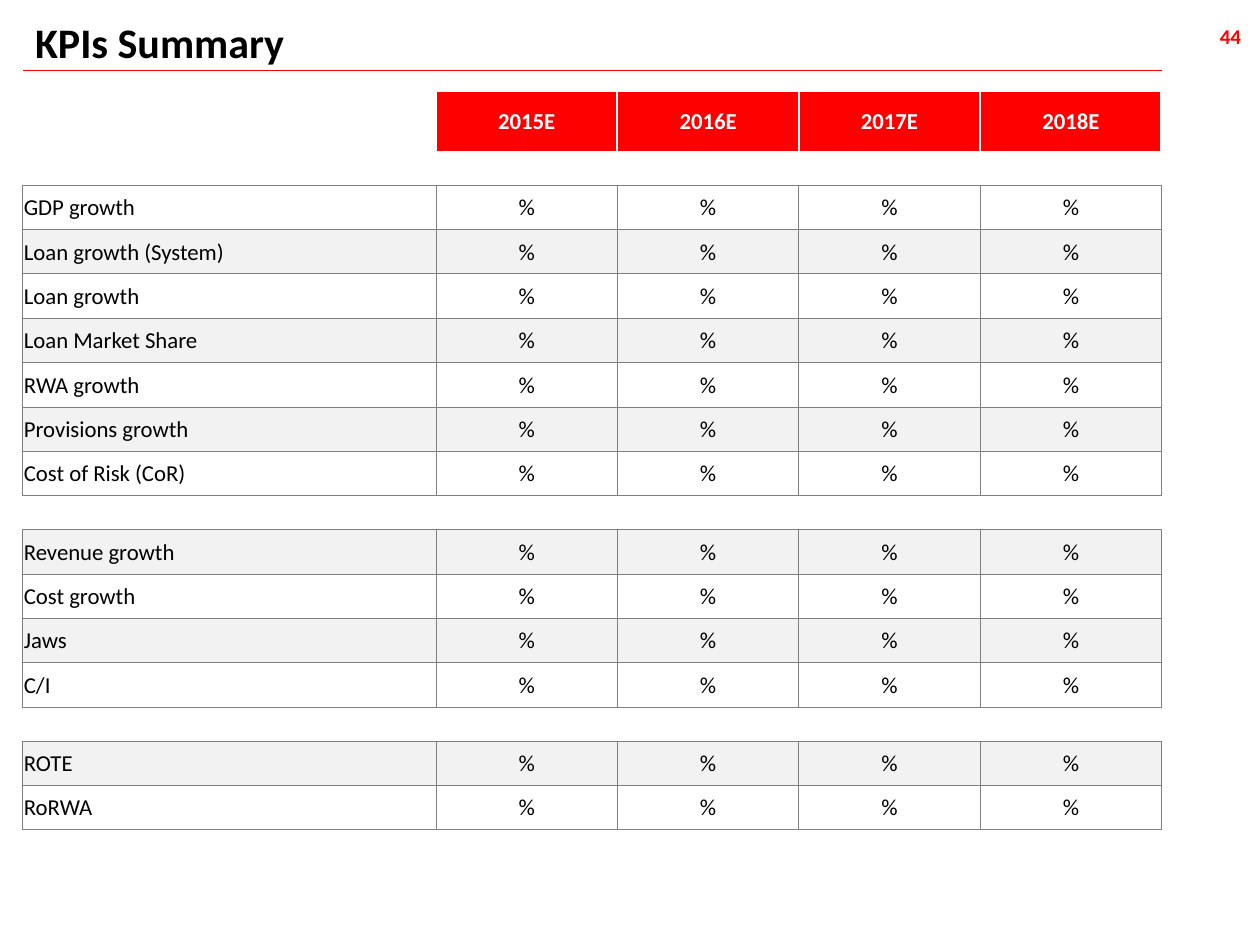
from lxml.etree import SubElement
from pptx import Presentation
from pptx.dml.color import RGBColor
from pptx.enum.shapes import MSO_CONNECTOR
from pptx.enum.text import MSO_ANCHOR, MSO_AUTO_SIZE, PP_ALIGN
from pptx.oxml.ns import qn
from pptx.util import Inches, Pt

FONT = "Calibri"
RED, WHITE, BLACK, GRAY, BAND = "FF0000", "FFFFFF", "000000", "808080", "F2F2F2"
NO_STYLE = "{2D5ABB26-0587-4C30-8999-92F81FD0307C}"

LEFT, WIDTH = 0.18, 9.04
TABLE_TOP, TABLE_HEIGHT = 0.72, 5.87
YEAR_WIDTH, HEADER_HEIGHT, GAP_HEIGHT = 1.44, 0.48, 0.27
TEXT_SIZE = 13

YEARS = ["2015E", "2016E", "2017E", "2018E"]
GROUPS = [
    ["GDP growth", "Loan growth (System)", "Loan growth", "Loan Market Share",
     "RWA growth", "Provisions growth", "Cost of Risk (CoR)"],
    ["Revenue growth", "Cost growth", "Jaws", "C/I"],
    ["ROTE", "RoRWA"],
]


def rgb(color):
    return RGBColor.from_string(color)


def add_run(p, text, size, color, bold=False):
    r = p.add_run()
    r.text = text
    r.font.name = FONT
    r.font.size = Pt(size)
    r.font.bold = bold
    r.font.color.rgb = rgb(color)


def add_text(s, box, text, size, color, align=PP_ALIGN.LEFT, wrap=True, inset=0.1):
    sp = s.shapes.add_textbox(*(Inches(v) for v in box))
    tf = sp.text_frame
    tf.word_wrap = wrap
    tf.auto_size = MSO_AUTO_SIZE.SHAPE_TO_FIT_TEXT
    tf.margin_left = tf.margin_right = Inches(inset)
    p = tf.paragraphs[0]
    p.alignment = align
    add_run(p, text, size, color, bold=True)


def add_rule(s, y):
    line = s.shapes.add_connector(MSO_CONNECTOR.STRAIGHT, Inches(LEFT), Inches(y),
                                  Inches(LEFT + WIDTH), Inches(y))
    line.line.color.rgb = rgb(RED)
    line.line.width = Pt(0.75)
    SubElement(line._element.spPr, qn("a:effectLst"))


def set_borders(cell, sides, color, width):
    """Draw the given sides, a string in the order L, R, T, B."""
    tcPr = cell._tc.get_or_add_tcPr()
    for side in sides:
        ln = SubElement(tcPr, qn("a:ln" + side), w=str(Pt(width)))
        fill = SubElement(ln, qn("a:solidFill"))
        SubElement(fill, qn("a:srgbClr"), val=color)


def set_fill(cell, color):
    if color:
        cell.fill.solid()
        cell.fill.fore_color.rgb = rgb(color)
    else:
        cell.fill.background()


def set_margins(cell):
    cell.margin_left = cell.margin_right = cell.margin_top = Inches(0.01)
    cell.margin_bottom = 0
    cell.vertical_anchor = MSO_ANCHOR.MIDDLE


def fill_cell(cell, text, color, align, bold=False):
    p = cell.text_frame.paragraphs[0]
    p.alignment = align
    add_run(p, text, TEXT_SIZE, color, bold)


def leave_empty(cell):
    """Keep the empty line low enough for the row height."""
    p = cell.text_frame.paragraphs[0]
    SubElement(p._p, qn("a:endParaRPr"), sz=str(TEXT_SIZE * 100))


def write_header(cells):
    for cell, year in zip(cells, [None] + YEARS):
        set_margins(cell)
        if year is None:
            set_borders(cell, "R", WHITE, 1.5)
            set_fill(cell, None)
            leave_empty(cell)
        else:
            set_borders(cell, "LRT", WHITE, 1.5)
            set_fill(cell, RED)
            fill_cell(cell, year, WHITE, PP_ALIGN.CENTER, bold=True)


def write_gap(cells, sides):
    for cell in cells:
        set_margins(cell)
        set_borders(cell, sides, GRAY, 0.5)
        set_fill(cell, None)
        leave_empty(cell)


def write_kpi(cells, name, band):
    for i, cell in enumerate(cells):
        set_margins(cell)
        set_borders(cell, "LRTB", GRAY, 0.5)
        set_fill(cell, band)
        if i == 0:
            fill_cell(cell, name, BLACK, PP_ALIGN.LEFT)
        else:
            fill_cell(cell, "%", BLACK, PP_ALIGN.CENTER)


def add_kpi_table(s):
    kpi_count = sum(len(group) for group in GROUPS)
    kpi_height = (TABLE_HEIGHT - HEADER_HEIGHT - GAP_HEIGHT * len(GROUPS)) / kpi_count
    frame = s.shapes.add_table(1 + len(GROUPS) + kpi_count, 1 + len(YEARS),
                               Inches(LEFT), Inches(TABLE_TOP),
                               Inches(WIDTH), Inches(TABLE_HEIGHT))
    table = frame.table
    table._tbl.tblPr.find(qn("a:tableStyleId")).text = NO_STYLE
    table.horz_banding = False

    widths = [WIDTH - YEAR_WIDTH * len(YEARS)] + [YEAR_WIDTH] * len(YEARS)
    for column, width in zip(table.columns, widths):
        column.width = Inches(width)

    rows = iter(table.rows)
    header = next(rows)
    header.height = Inches(HEADER_HEIGHT)
    write_header(header.cells)

    kpi_index = 0
    for group in GROUPS:
        gap = next(rows)
        gap.height = Inches(GAP_HEIGHT)
        write_gap(gap.cells, "TB" if kpi_index else "B")
        for name in group:
            row = next(rows)
            row.height = Inches(kpi_height)
            write_kpi(row.cells, name, BAND if kpi_index % 2 else None)
            kpi_index += 1


def main():
    prs = Presentation()
    prs.slide_width, prs.slide_height = Inches(10), Inches(7.5)
    s = prs.slides.add_slide(prs.slide_layouts[6])
    add_text(s, (9.49, 0.14, 0.42, 0.31), "44", 12, RED, PP_ALIGN.RIGHT,
             wrap=False, inset=0.06)
    add_text(s, (LEFT, 0.08, 9.57, 0.5), "KPIs Summary", 24, BLACK)
    add_rule(s, 0.56)
    add_kpi_table(s)
    prs.save("out.pptx")


if __name__ == "__main__":
    main()
